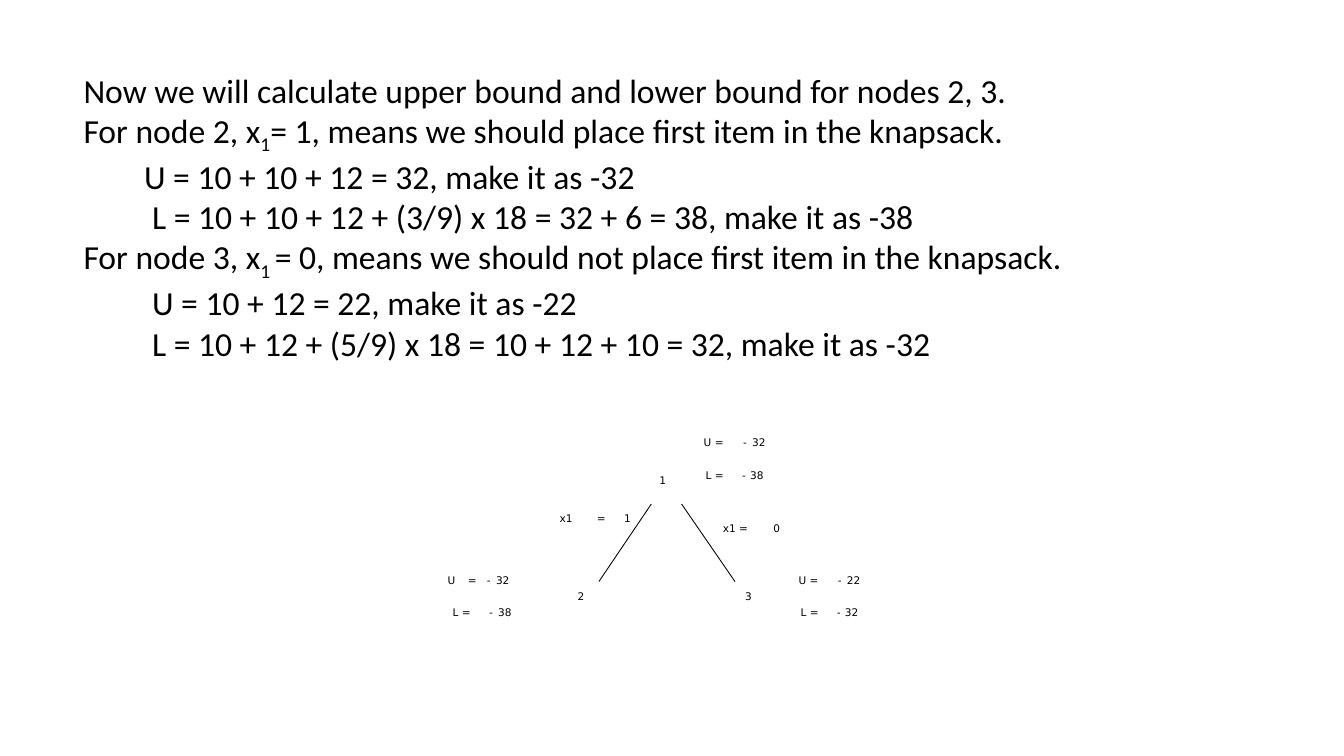
from lxml import etree
from pptx import Presentation
from pptx import util as u
from pptx.dml.color import RGBColor
from pptx.enum import shapes, text
from pptx.oxml import ns

BLACK = RGBColor(0, 0, 0)
BODY_FONT = "Calibri"
TREE_FONT = "DejaVu Sans"

EXPLANATION = [
    (0, ["Now we will calculate upper bound and lower bound for nodes 2, 3."]),
    (0, ["For node 2, x", "1", "= 1, means we should place first item in the knapsack."]),
    (0.6, ["U = 10 + 10 + 12 = 32, make it as -32"]),
    (0.68, ["L = 10 + 10 + 12 + (3/9) x 18 = 32 + 6 = 38, make it as -38"]),
    (0, ["For node 3, x", "1 ", "= 0, means we should not place first item in the knapsack."]),
    (0.68, ["U = 10 + 12 = 22, make it as -22"]),
    (0.68, ["L = 10 + 12 + (5/9) x 18 = 10 + 12 + 10 = 32, make it as -32"]),
]

TREE_LABELS = [
    (4.32, [(6.98, "U ="), (7.37, "-"), (7.46, "32")]),
    (4.64, [(7, "L ="), (7.36, "-"), (7.44, "38")]),
    (4.69, [(6.54, "1")]),
    (5.07, [(5.55, "x1"), (5.92, "="), (6.19, "1")]),
    (5.17, [(7.17, "x1 ="), (7.67, "0")]),
    (5.69, [(4.44, "U"), (4.64, "="), (4.83, "-"), (4.92, "32"),
            (7.92, "U ="), (8.31, "-"), (8.4, "22")]),
    (5.84, [(5.73, "2"), (7.39, "3")]),
    (6, [(4.49, "L ="), (4.85, "-"), (4.94, "38"),
         (7.94, "L ="), (8.3, "-"), (8.38, "32")]),
]
LABEL_WIDTHS = {"U =": 0.44, "L =": 0.4, "x1 =": 0.56, "x1": 0.37,
                "U": 0.17, "=": 0.19, "-": 0.11}
BRANCHES = [(6.76, 7.29), (6.46, 5.94)]


def add_run(paragraph, content, font=BODY_FONT, size=24, color=BLACK, subscript=False):
    run = paragraph.add_run()
    run.text = content
    run.font.name = font
    run.font.size = u.Pt(size)
    run.font.color.rgb = color
    if subscript:
        run._r.get_or_add_rPr().set("baseline", "-25000")


class KnapsackSlide:
    def __init__(self, presentation):
        self.slide = presentation.slides.add_slide(presentation.slide_layouts[6])
        self.line_width = u.Pt(0.61)
        self.label_size = 7.5
        self.label_height = 0.32

    def text_box(self, left, top, width, height):
        box = self.slide.shapes.add_textbox(*map(u.Inches, (left, top, width, height)))
        box.text_frame.word_wrap = True
        return box.text_frame

    def explanation(self, lines, left, top, width, height):
        frame = self.text_box(left, top, width, height)
        frame.auto_size = text.MSO_AUTO_SIZE.SHAPE_TO_FIT_TEXT
        for index, (indent, parts) in enumerate(lines):
            paragraph = frame.add_paragraph() if index else frame.paragraphs[0]
            if indent:
                paragraph._p.get_or_add_pPr().set("marL", str(u.Inches(indent)))
            for position, part in enumerate(parts):
                add_run(paragraph, part, subscript=position == 1)

    def label(self, content, left, top):
        width = LABEL_WIDTHS.get(content, 0.15 * len(content))
        frame = self.text_box(left, top, width, self.label_height)
        frame.margin_left = frame.margin_top = frame.margin_right = frame.margin_bottom = 0
        paragraph = frame.paragraphs[0]
        paragraph.line_spacing = 1.07
        paragraph.space_after = u.Pt(8)
        add_run(paragraph, content, font=TREE_FONT, size=self.label_size)

    def branch(self, start_x, start_y, end_x, end_y):
        connector = self.slide.shapes.add_connector(
            shapes.MSO_CONNECTOR.STRAIGHT, *map(u.Inches, (start_x, start_y, end_x, end_y)))
        connector.line.color.rgb = BLACK
        connector.line.width = self.line_width
        etree.SubElement(connector._element.spPr, ns.qn("a:effectLst"))


def main():
    presentation = Presentation()
    presentation.slide_width = u.Inches(13.33)
    presentation.slide_height = u.Inches(7.5)
    knapsack = KnapsackSlide(presentation)
    for parent_x, child_x in BRANCHES:
        knapsack.branch(parent_x, 5, child_x, 5.77)
    for top, labels in TREE_LABELS:
        for left, content in labels:
            knapsack.label(content, left, top)
    knapsack.explanation(EXPLANATION, 0.73, 0.64, 11.69, 2.93)
    presentation.save("out.pptx")


if __name__ == "__main__":
    main()
